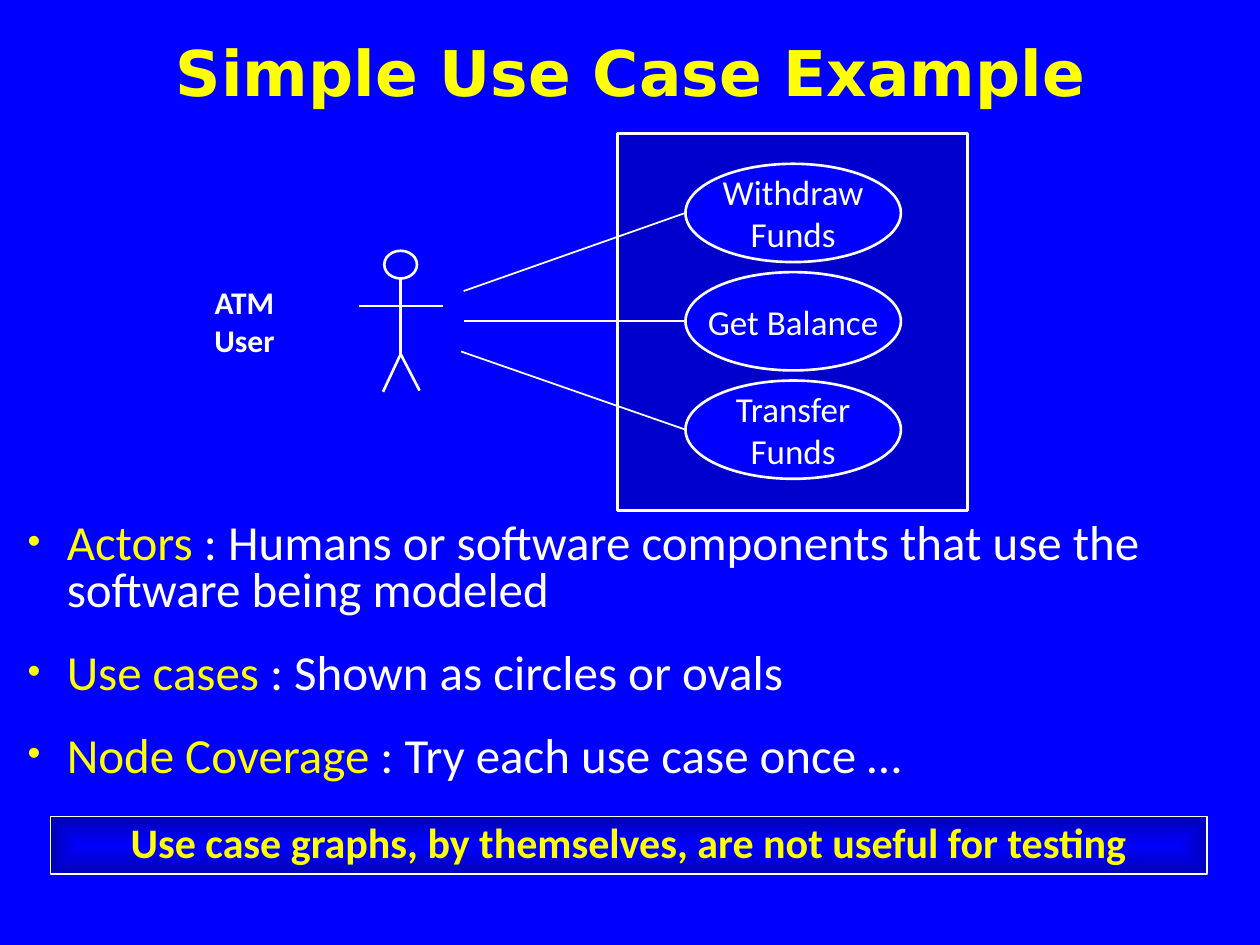
from lxml import etree
from pptx import Presentation
from pptx.dml.color import RGBColor
from pptx.enum.shapes import MSO_CONNECTOR, MSO_SHAPE
from pptx.enum.text import MSO_ANCHOR, MSO_AUTO_SIZE, PP_ALIGN
from pptx.oxml import parse_xml
from pptx.oxml.ns import nsdecls, qn
from pptx.util import Inches, Pt

STRAIGHT = MSO_CONNECTOR.STRAIGHT
RECTANGLE, OVAL = MSO_SHAPE.RECTANGLE, MSO_SHAPE.OVAL
CENTER, LEFT = PP_ALIGN.CENTER, PP_ALIGN.LEFT
TOP, MIDDLE = MSO_ANCHOR.TOP, MSO_ANCHOR.MIDDLE
NO_FIT = MSO_AUTO_SIZE.NONE

BLUE, SYSTEM_BLUE, EDGE_BLUE = "0000FF", "0000CC", "0000B6"
YELLOW, WHITE = "FFFF00", "FFFFFF"

TITLE = "Simple Use Case Example"
DEFINITIONS = [
    ("Actors", " : Humans or software components that use the software being modeled"),
    ("Use cases", " : Shown as circles or ovals"),
    ("Node Coverage", " : Try each use case once …"),
]
ACTOR_LABEL = ["ATM", "User"]
USE_CASES = [["Withdraw", "Funds"], ["Get Balance"], ["Transfer", "Funds"]]
CONCLUSION = "Use case graphs, by themselves, are not useful for testing"

TITLE_BOX = (0.12, 0.09, 9.77, 1.03)
BODY_BOX = (0.12, 4.1, 9.75, 2.35)
SYSTEM_BOX = (4.9, 1.06, 2.78, 2.99)
ACTOR_LABEL_BOX = (1.55, 2.2, 0.78, 0.7)
CONCLUSION_BOX = (0.4, 6.48, 9.18, 0.46)
HEAD_BOX = (3.05, 1.99, 0.26, 0.22)
LIMBS = [
    (2.85, 2.43, 3.52, 2.43),
    (3.18, 2.21, 3.18, 2.81),
    (3.18, 2.81, 3.04, 3.11),
    (3.18, 2.81, 3.33, 3.1),
]
OVAL_LEFT, OVAL_TOP, OVAL_WIDTH, OVAL_HEIGHT, OVAL_STEP = 5.44, 1.3, 1.71, 0.78, 0.86
LINK_STARTS = [(3.68, 2.31), (3.68, 2.55), (3.66, 2.79)]


def color(value):
    """Turn a hex string into a colour."""
    return RGBColor.from_string(value)


def place(shape, box):
    """Move and size a shape, in inches."""
    for name, value in zip(("left", "top", "width", "height"), box):
        setattr(shape, name, Inches(value))


def add_outlined(shapes, kind, box, fill=None, width=1.5):
    """Add a white-outlined preset shape without shadow."""
    shape = shapes.add_shape(kind, *map(Inches, box))
    shape.shadow.inherit = False
    shape.line.color.rgb = color(WHITE)
    shape.line.width = Pt(width)
    if fill:
        shape.fill.solid()
        shape.fill.fore_color.rgb = color(fill)
    else:
        shape.fill.background()
    return shape


def add_line(shapes, ends, width):
    """Add a straight white line without shadow."""
    line = shapes.add_connector(STRAIGHT, *map(Inches, ends))
    line.line.color.rgb = color(WHITE)
    line.line.width = Pt(width)
    etree.SubElement(line._element.spPr, qn("a:effectLst"))


def write(shape, paragraphs, size, bold=False, font="Calibri", align=CENTER,
          frame_format=None, paragraph_format=None):
    """Fill a shape with paragraphs given as lists of (text, colour) runs."""
    frame = shape.text_frame
    settings = {"auto_size": NO_FIT, "word_wrap": True, "vertical_anchor": MIDDLE}
    for name, value in {**settings, **(frame_format or {})}.items():
        setattr(frame, name, value)
    for index, runs in enumerate(paragraphs):
        paragraph = frame.add_paragraph() if index else frame.paragraphs[0]
        for name, value in {"alignment": align, **(paragraph_format or {})}.items():
            setattr(paragraph, name, value)
        for text, hex_value in runs:
            run = paragraph.add_run()
            run.text = text
            run.font.color.rgb = color(hex_value)
            for name, value in {"size": Pt(size), "bold": bold, "name": font}.items():
                setattr(run.font, name, value)
    return frame.paragraphs


def set_space_before(paragraph, percent):
    """Set the space before a paragraph as a share of its text size."""
    properties = paragraph._p.get_or_add_pPr()
    space = parse_xml(f'<a:spcBef {nsdecls("a")}><a:spcPct val="{percent * 1000}"/></a:spcBef>')
    properties.insert(1, space)  # directly after the line spacing


def set_bullet(paragraph):
    """Give a paragraph a small yellow bullet and a hanging indent."""
    properties = paragraph._p.get_or_add_pPr()
    properties.set("marL", str(Inches(0.31)))
    properties.set("indent", str(-Inches(0.31)))
    for xml in (f'<a:buClr {nsdecls("a")}><a:srgbClr val="{YELLOW}"/></a:buClr>',
                f'<a:buSzPct {nsdecls("a")} val="75000"/>',
                f'<a:buChar {nsdecls("a")} char="•"/>'):
        properties.append(parse_xml(xml))


def set_glow_fill(shape, inner, outer):
    """Fill a shape with a gradient from its centre to its edges."""
    shape.fill.gradient()
    old = shape._element.spPr.find(qn("a:gradFill"))
    new = parse_xml(
        f'<a:gradFill {nsdecls("a")} rotWithShape="1"><a:gsLst>'
        f'<a:gs pos="0"><a:srgbClr val="{inner}"/></a:gs>'
        f'<a:gs pos="100000"><a:srgbClr val="{outer}"/></a:gs></a:gsLst>'
        '<a:path path="shape"><a:fillToRect l="50000" t="50000" r="50000" b="50000"/>'
        '</a:path></a:gradFill>')
    old.getparent().replace(old, new)


presentation = Presentation()
presentation.slide_width, presentation.slide_height = Inches(10), Inches(7.5)
slide = presentation.slides.add_slide(presentation.slide_layouts[1])
slide.background.fill.solid()
slide.background.fill.fore_color.rgb = color(BLUE)
shapes = slide.shapes

title, body = slide.placeholders
place(title, TITLE_BOX)
write(title, [[(TITLE, YELLOW)]], 36, True, "DejaVu Sans",
      paragraph_format={"line_spacing": 0.9})

place(body, BODY_BOX)
definitions = [[(term, YELLOW), (meaning, WHITE)] for term, meaning in DEFINITIONS]
for paragraph in write(body, definitions, 28, align=LEFT,
                       frame_format={"vertical_anchor": TOP},
                       paragraph_format={"line_spacing": 0.8, "space_after": Pt(12)}):
    set_space_before(paragraph, 30)
    set_bullet(paragraph)

add_outlined(shapes, RECTANGLE, SYSTEM_BOX, SYSTEM_BLUE)

actor = shapes.add_group_shape()
add_outlined(actor.shapes, OVAL, HEAD_BOX)
for limb in LIMBS:
    add_line(actor.shapes, limb, 1.5)

for index, (label, start) in enumerate(zip(USE_CASES, LINK_STARTS)):
    top = OVAL_TOP + index * OVAL_STEP
    use_case = add_outlined(shapes, OVAL, (OVAL_LEFT, top, OVAL_WIDTH, OVAL_HEIGHT), BLUE)
    write(use_case, [[(line, WHITE)] for line in label], 20,
          frame_format={"word_wrap": False, "margin_top": 0, "margin_bottom": 0})
    add_line(shapes, (*start, OVAL_LEFT, top + OVAL_HEIGHT / 2), 1)

actor_label = shapes.add_textbox(*map(Inches, ACTOR_LABEL_BOX))
write(actor_label, [[(line, WHITE)] for line in ACTOR_LABEL], 18, True,
      frame_format={"word_wrap": False, "vertical_anchor": TOP})

conclusion = add_outlined(shapes, RECTANGLE, CONCLUSION_BOX, width=1)
set_glow_fill(conclusion, BLUE, EDGE_BLUE)
for paragraph in write(conclusion, [[(CONCLUSION, YELLOW)]], 24, True,
                       frame_format={"vertical_anchor": TOP},
                       paragraph_format={"line_spacing": 0.9}):
    set_space_before(paragraph, 30)

presentation.save("out.pptx")
